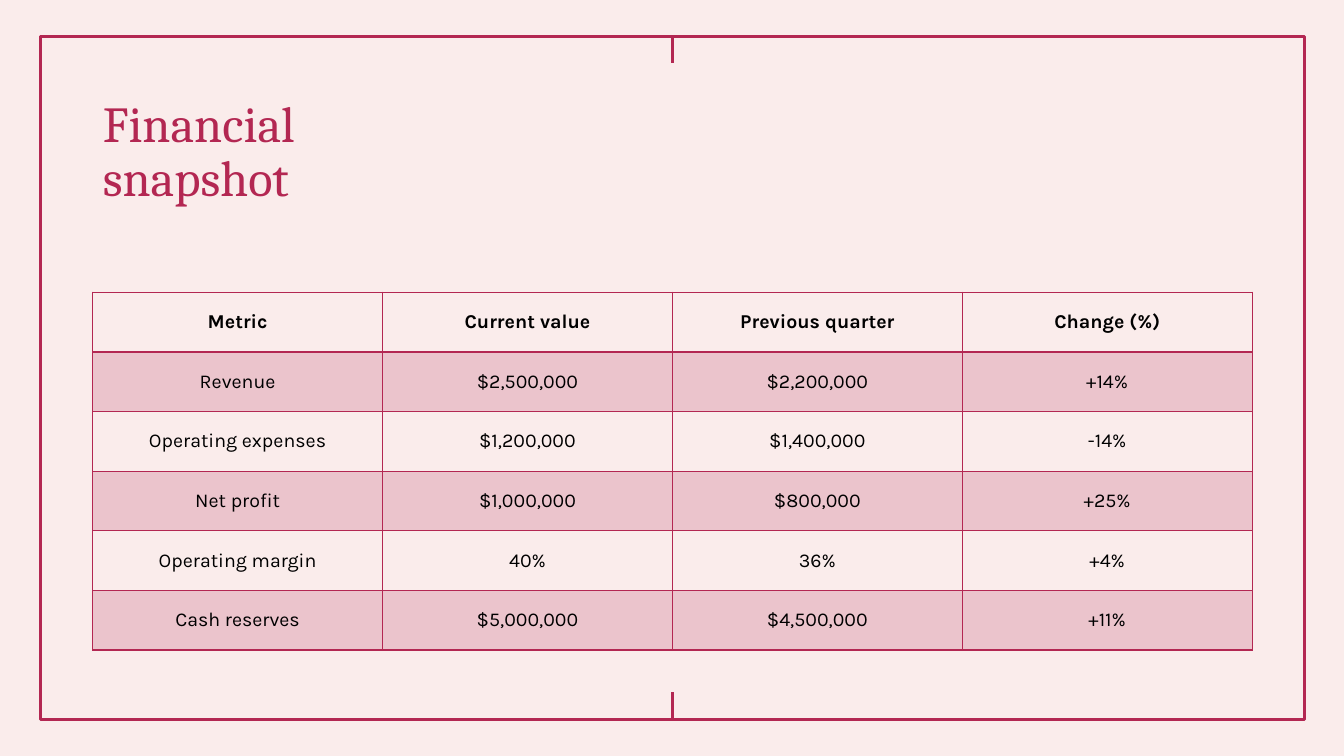
"""Build the financial snapshot slide with its framed background and metrics table."""
import pptx
import pptx.util
import pptx.dml.color
import pptx.enum.shapes
import pptx.enum.text
import pptx.oxml
import pptx.oxml.ns
import lxml.etree

Inches = pptx.util.Inches
Pt = pptx.util.Pt
RGBColor = pptx.dml.color.RGBColor
CRIMSON = RGBColor(0xB3, 0x27, 0x52)
BLUSH = RGBColor(0xFA, 0xEC, 0xEB)
BLACK = RGBColor(0, 0, 0)

METRICS = [
    ("Metric", "Current value", "Previous quarter", "Change (%)"),
    ("Revenue", "$2,500,000", "$2,200,000", "+14%"),
    ("Operating expenses", "$1,200,000", "$1,400,000", "-14%"),
    ("Net profit", "$1,000,000", "$800,000", "+25%"),
    ("Operating margin", "40%", "36%", "+4%"),
    ("Cash reserves", "$5,000,000", "$4,500,000", "+11%"),
]


def add_borders(cell):
    properties = cell._tc.get_or_add_tcPr()
    for side in ("lnL", "lnR", "lnT", "lnB"):
        properties.append(pptx.oxml.parse_xml(
            f'<a:{side} {pptx.oxml.ns.nsdecls("a")} w="{Pt(1)}"><a:solidFill>'
            f'<a:srgbClr val="{CRIMSON}"/></a:solidFill></a:{side}>'))


presentation = pptx.Presentation()
presentation.slide_width = Inches(13.33)
presentation.slide_height = Inches(7.5)
slide = presentation.slides.add_slide(presentation.slide_layouts[5])
slide.background.fill.solid()
slide.background.fill.fore_color.rgb = BLUSH

frame = slide.shapes.add_shape(
    pptx.enum.shapes.MSO_SHAPE.RECTANGLE,
    Inches(0.4), Inches(0.36), Inches(12.54), Inches(6.78))
frame.shadow.inherit = False
frame.fill.background()
frame.line.color.rgb = CRIMSON
frame.line.width = Pt(2.25)

for tick_top in (0.36, 6.87):
    tick = slide.shapes.add_connector(
        pptx.enum.shapes.MSO_CONNECTOR.STRAIGHT,
        Inches(6.67), Inches(tick_top), Inches(6.67), Inches(tick_top + 0.27))
    tick.line.color.rgb = CRIMSON
    tick.line.width = Pt(2.25)
    lxml.etree.SubElement(tick._element.spPr, pptx.oxml.ns.qn("a:effectLst"))

title = slide.shapes.title
title.left, title.top = Inches(0.92), Inches(0.93)
title.width, title.height = Inches(11.5), Inches(1.51)
title.text_frame.text = "Financial\vsnapshot"
title.text_frame.auto_size = pptx.enum.text.MSO_AUTO_SIZE.NONE
title.text_frame.vertical_anchor = pptx.enum.text.MSO_ANCHOR.TOP
heading = title.text_frame.paragraphs[0]
heading.alignment = pptx.enum.text.PP_ALIGN.LEFT
heading.line_spacing = 0.9
heading.font.name = "Cambria"
heading.font.size = Pt(36)
heading.font.color.rgb = CRIMSON

table = slide.shapes.add_table(
    len(METRICS), len(METRICS[0]),
    Inches(0.92), Inches(2.9), Inches(11.5), Inches(3.55)).table
table.horz_banding = False
for row_index, metric in enumerate(METRICS):
    for column_index, text in enumerate(metric):
        cell = table.cell(row_index, column_index)
        cell.text = text
        cell.vertical_anchor = pptx.enum.text.MSO_ANCHOR.MIDDLE
        paragraph = cell.text_frame.paragraphs[0]
        paragraph.alignment = pptx.enum.text.PP_ALIGN.CENTER
        paragraph.font.name = "Karla"
        paragraph.font.size = Pt(14)
        paragraph.font.bold = row_index == 0
        paragraph.font.color.rgb = BLACK
        add_borders(cell)
        if row_index % 2:
            cell.fill.solid()
            cell.fill.fore_color.rgb = CRIMSON
            color = cell._tc.tcPr.find(pptx.oxml.ns.qn("a:solidFill"))[0]
            lxml.etree.SubElement(color, pptx.oxml.ns.qn("a:alpha"), val="20000")
        else:
            cell.fill.background()

presentation.save("out.pptx")
